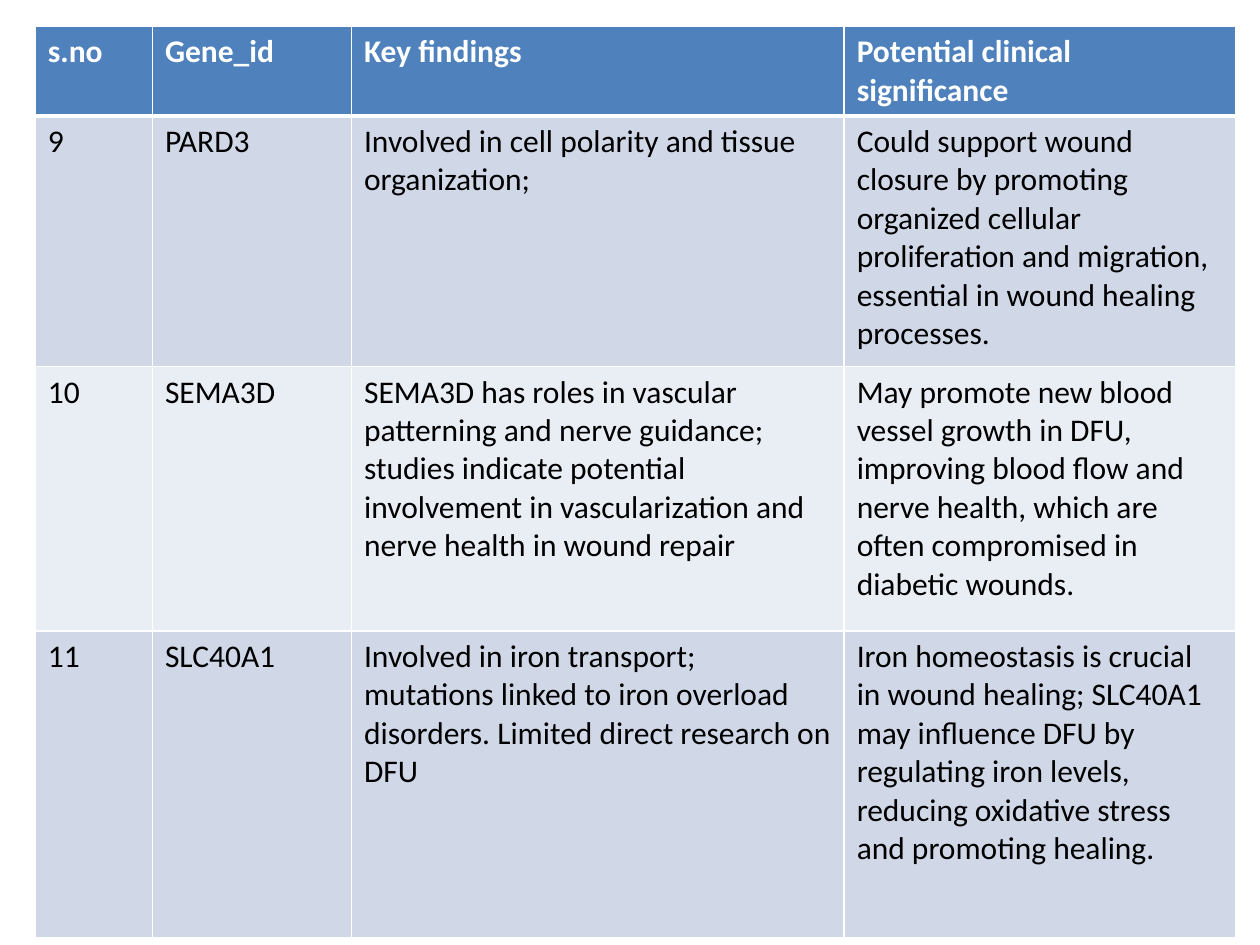
from lxml.etree import SubElement
from pptx import Presentation
from pptx.dml.color import RGBColor
from pptx.oxml.ns import qn
from pptx.util import Inches, Pt

HUES = {"head": "4F81BD", "odd": "D0D8E8", "even": "E9EDF4",
        "rule": "FFFFFF", "light": "FFFFFF", "dark": "000000"}
FONT, SIZE = "Calibri", 18

# Table box in percent of the slide: left, top, width, height
BOX = (2.8, 2.8, 95.3, 92.93)
# Relative column widths and row heights
COLS = (93, 158, 391, 311)
ROWS = (45, 199, 210, 243)

GENES = [
    ("s.no", "Gene_id", "Key findings", "Potential clinical significance"),
    ("9", "PARD3",
     "Involved in cell polarity and tissue organization;",
     "Could support wound closure by promoting organized cellular "
     "proliferation and migration, essential in wound healing processes."),
    ("10", "SEMA3D",
     "SEMA3D has roles in vascular patterning and nerve guidance; studies "
     "indicate potential involvement in vascularization and nerve health "
     "in wound repair",
     "May promote new blood vessel growth in DFU, improving blood flow and "
     "nerve health, which are often compromised in diabetic wounds."),
    ("11", "SLC40A1",
     "Involved in iron transport; mutations linked to iron overload "
     "disorders. Limited direct research on DFU",
     "Iron homeostasis is crucial in wound healing; SLC40A1 may influence "
     "DFU by regulating iron levels, reducing oxidative stress and "
     "promoting healing."),
]


def tint(name):
    return RGBColor.from_string(HUES[name])


def edge(cell, row):
    """Rule all four sides, with a thick line below the header."""
    props = cell._tc.get_or_add_tcPr()
    thick = {(0, "B"), (1, "T")}
    for at, side in enumerate("LRTB"):
        width = Pt(3 if (row, side) in thick else 1)
        line = SubElement(props, qn(f"a:ln{side}"), w=str(width))
        fill = SubElement(line, qn("a:solidFill"))
        SubElement(fill, qn("a:srgbClr"), val=HUES["rule"])
        props.insert(at, line)  # borders come before the fill


def write(cell, text, row):
    """Fill one cell and set its text."""
    head = row == 0
    cell.fill.solid()
    cell.fill.fore_color.rgb = tint(
        "head" if head else "odd" if row % 2 else "even")
    run = cell.text_frame.paragraphs[0].add_run()
    run.text = text
    font = run.font
    font.name, font.size, font.bold = FONT, Pt(SIZE), head
    font.color.rgb = tint("light" if head else "dark")
    edge(cell, row)


def gene_table(slide, box):
    """Place the gene table in a box, sharing out columns and rows."""
    grid = slide.shapes.add_table(len(ROWS), len(COLS), *box).table
    for col, part in zip(grid.columns, COLS):
        col.width = int(box[2] * part / sum(COLS))
    for row, part in zip(grid.rows, ROWS):
        row.height = int(box[3] * part / sum(ROWS))
    for r, gene in enumerate(GENES):
        for c, text in enumerate(gene):
            write(grid.cell(r, c), text, r)


def main():
    deck = Presentation()
    deck.slide_width, deck.slide_height = Inches(10), Inches(7.5)
    slide = deck.slides.add_slide(deck.slide_layouts[6])
    sides = (deck.slide_width, deck.slide_height) * 2
    gene_table(slide, [int(s * p / 100) for s, p in zip(sides, BOX)])
    deck.save("out.pptx")


if __name__ == "__main__":
    main()
